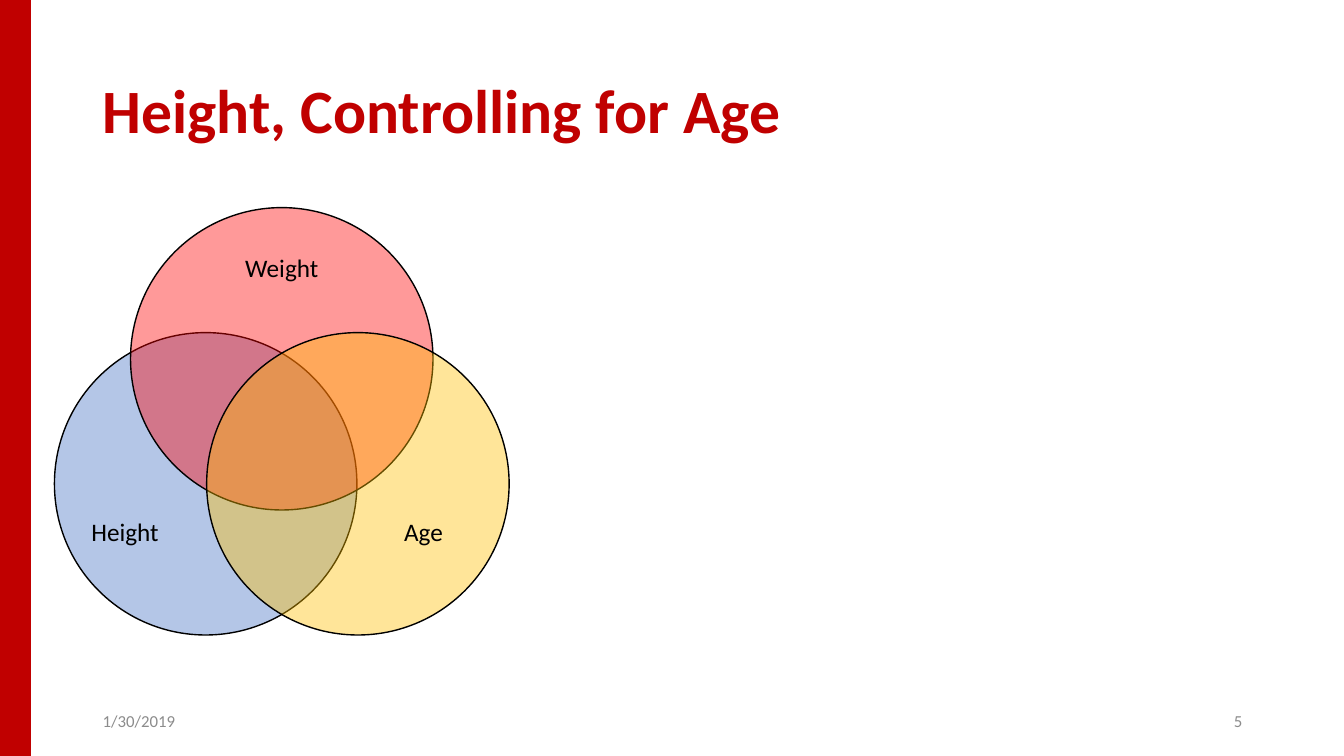
from lxml import etree
from pptx import Presentation
from pptx.dml.color import RGBColor
from pptx.enum.shapes import MSO_SHAPE as Shape
from pptx.enum.text import MSO_ANCHOR as Anchor, MSO_AUTO_SIZE as AutoSize, PP_ALIGN as Align
from pptx.oxml.ns import qn
from pptx.util import Inches, Pt

WIDTH, HEIGHT = 13.33, 7.5
MARGIN = 0.92
CONTENT_WIDTH = 11.5
COLORS = {
    "accent": "C00000",
    "height": "4472C4",
    "weight": "FF0000",
    "age": "FFC000",
    "ink": "000000",
    "muted": "8C8C8C",
}


def inches(box):
    return [Inches(length) for length in box]


def write_text(shape, text, size=18, color="ink", bold=False, align=Align.LEFT,
               anchor=Anchor.MIDDLE, wrap=True, spacing=1.0):
    frame = shape.text_frame
    frame.auto_size = AutoSize.NONE
    frame.word_wrap = wrap
    frame.vertical_anchor = anchor
    paragraph = frame.paragraphs[0]
    paragraph.text = text
    paragraph.alignment = align
    paragraph.line_spacing = spacing
    font = paragraph.font
    font.name = "Calibri"
    font.size = Pt(size)
    font.bold = bold
    font.color.rgb = RGBColor.from_string(COLORS[color])


def add_filled_shape(slide, kind, box, fill, line, opacity=100):
    shape = slide.shapes.add_shape(kind, *inches(box))
    shape.shadow.inherit = False
    shape.fill.solid()
    shape.fill.fore_color.rgb = RGBColor.from_string(COLORS[fill])
    shape.line.color.rgb = RGBColor.from_string(COLORS[line])
    shape.line.width = Pt(1)
    if opacity < 100:
        color = shape.fill._xPr.find(qn("a:solidFill"))[0]
        etree.SubElement(color, qn("a:alpha"), val=str(opacity * 1000))


def add_title(slide, box, text):
    title = slide.shapes.title
    title.left, title.top, title.width, title.height = inches(box)
    write_text(title, text, size=44, color="accent", bold=True, spacing=0.9)


def add_footer(slide, box, date, number):
    left, top, width, height = box
    field_width = 3
    fields = [(left, date, Align.LEFT),
              (left + width - field_width, number, Align.RIGHT)]
    for field_left, text, align in fields:
        field = slide.shapes.add_textbox(*inches((field_left, top, field_width, height)))
        write_text(field, text, size=12, color="muted", align=align)


def add_venn(slide, box):
    left, top, width, height = box
    diameter = 3
    across, down = width - diameter, height - diameter
    circles = [
        ("Height", "height", 0, down, 0.7, 1.97),
        ("Weight", "weight", across / 2, 0, 1.5, 0.59),
        ("Age", "age", across, down, 2.15, 1.97),
    ]
    for name, color, x, y, label_x, label_y in circles:
        add_filled_shape(slide, Shape.OVAL, (left + x, top + y, diameter, diameter),
                         color, "ink", opacity=40)
    label_width, label_height = 0.94, 0.4
    for name, color, x, y, label_x, label_y in circles:
        label = slide.shapes.add_textbox(*inches((
            left + x + label_x - label_width / 2,
            top + y + label_y - label_height / 2, label_width, label_height)))
        write_text(label, name, align=Align.CENTER, wrap=False)


def main():
    presentation = Presentation()
    presentation.slide_width, presentation.slide_height = inches((WIDTH, HEIGHT))
    slide = presentation.slides.add_slide(presentation.slide_layouts[5])
    add_filled_shape(slide, Shape.RECTANGLE, (0, 0, 0.3, HEIGHT), "accent", "accent")
    add_title(slide, (MARGIN, 0.4, CONTENT_WIDTH, 1.45), "Height, Controlling for Age")
    add_footer(slide, (MARGIN, 6.95, CONTENT_WIDTH, 0.4), "1/30/2019", "5")
    add_venn(slide, (0.54, 2.06, 4.51, 4.24))
    presentation.save("out.pptx")


if __name__ == "__main__":
    main()
